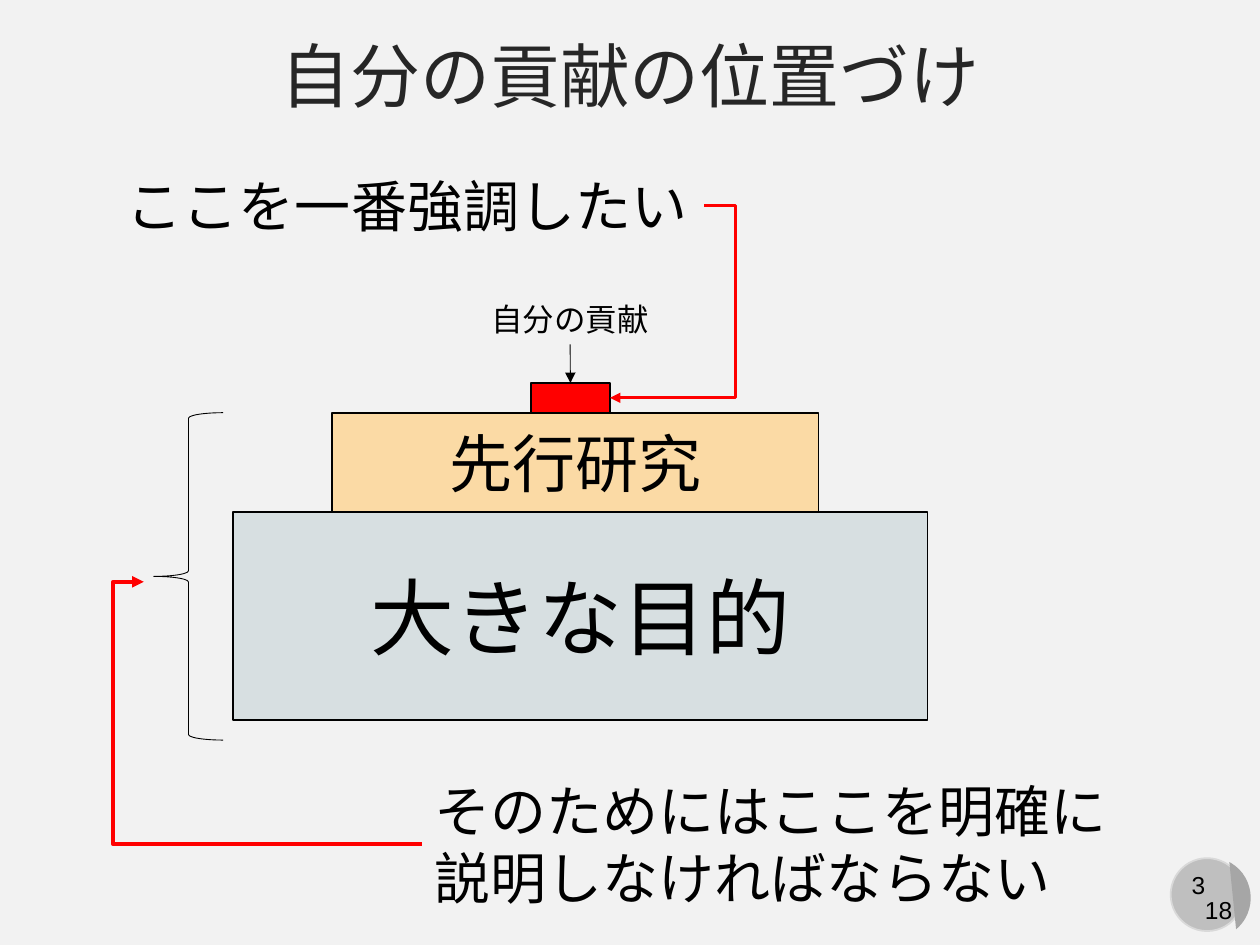
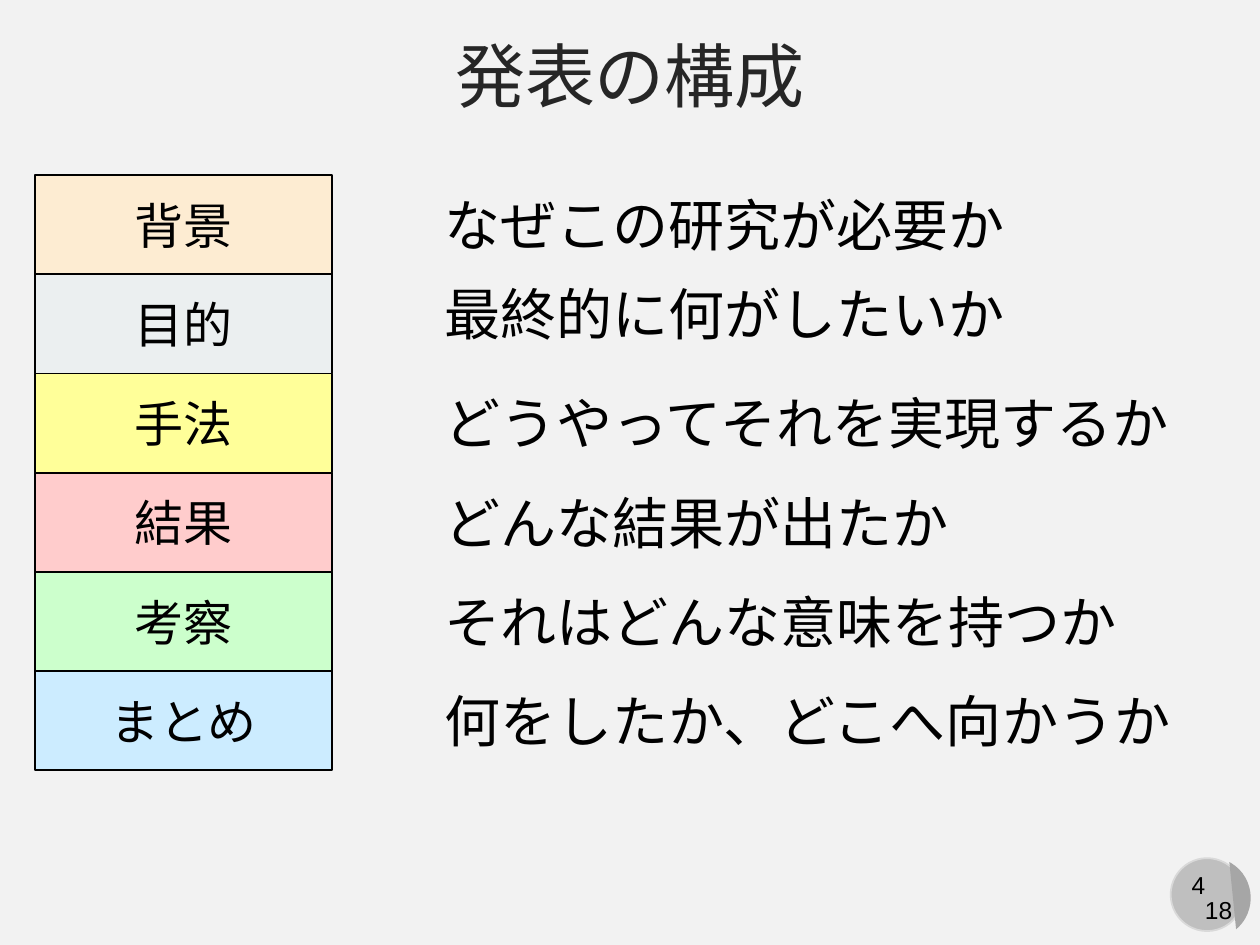
from dataclasses import dataclass
from typing import Optional

from lxml.etree import SubElement
from pptx import Presentation
from pptx.dml.color import RGBColor
from pptx.enum.shapes import MSO_CONNECTOR, MSO_SHAPE
from pptx.enum.text import MSO_ANCHOR, PP_ALIGN
from pptx.oxml.ns import qn
from pptx.util import Cm, Inches, Pt

# The grid has square cells of one centimetre: 25.4 columns by 19.05 rows.
CELL = Cm(1)
COLUMNS = 25.4
EM = 0.0353  # cells per point of text size
INSETS = 0.51  # left and right inset of a text box together
FONT = "Arial"
TOTAL_PAGES = "18"
BODY_SIZE = 32
LINE_HEIGHT = 1.63

COLORS = {
    "ground": "F2F2F2",
    "title": "262626",
    "ink": "000000",
    "accent": "FF0000",
    "badge": "BFBFBF",
    "badge_rim": "D9D9D9",
    "badge_shade": "A6A6A6",
    "purpose": "D7DFE1",
    "prior_work": "FBDAA5",
    "background_row": "FDECD2",
    "purpose_row": "EBEFF0",
    "method_row": "FFFF99",
    "result_row": "FFCCCC",
    "discussion_row": "CCFFCC",
    "summary_row": "CCECFF",
}


@dataclass(frozen=True)
class Area:
    """A place on the grid, in columns and rows."""
    col: float
    row: float
    cols: float
    rows: float

    def emu(self) -> list[int]:
        return [int(n * CELL) for n in (self.col, self.row, self.cols, self.rows)]


@dataclass(frozen=True)
class Block:
    area: Area
    fill: Optional[str]
    text: str = ""
    size: float = 28
    outline: Optional[str] = "ink"
    outline_width: float = 1
    kind: MSO_SHAPE = MSO_SHAPE.RECTANGLE
    adjustments: tuple[float, ...] = ()
    rotation: float = 0


@dataclass(frozen=True)
class Arrow:
    start: tuple[float, float]
    end: tuple[float, float]
    color: str
    width: float
    bend: Optional[float] = None


@dataclass(frozen=True)
class Section:
    name: str
    question: str
    fill: str
    lift: float = 0


STACK = {
    "purpose": Block(Area(4.7, 10.32, 14, 4.2), "purpose", "大きな目的", 48),
    "prior_work": Block(Area(6.7, 8.32, 9.8, 2), "prior_work", "先行研究", 36),
    "contribution": Block(Area(10.7, 7.72, 1.6, 0.6), "accent"),
    "brace": Block(Area(3.1, 8.32, 1.4, 6.6), None, outline_width=0.5,
                   kind=MSO_SHAPE.LEFT_BRACE, adjustments=(0.08, 0.5)),
}
POINTER = Arrow((11.5, 6.94), (11.5, 7.72), "ink", 0.5)
CALLOUTS = (
    Arrow((14.2, 4.14), (12.3, 8.02), "accent", 1.5, bend=-0.33),
    Arrow((8.5, 17.02), (2.9, 11.73), "accent", 2.25, bend=1.11),
)
SECTIONS = (
    Section("背景", "なぜこの研究が必要か", "background_row"),
    Section("目的", "最終的に何がしたいか", "purpose_row", lift=0.2),
    Section("手法", "どうやってそれを実現するか", "method_row"),
    Section("結果", "どんな結果が出たか", "result_row"),
    Section("考察", "それはどんな意味を持つか", "discussion_row"),
    Section("まとめ", "何をしたか、どこへ向かうか", "summary_row"),
)
SECTION_TOP, SECTION_ROWS = 3.53, 2
BADGE = (
    Block(Area(23.6, 17.3, 1.47, 1.47), "badge", outline="badge_rim",
          kind=MSO_SHAPE.OVAL),
    Block(Area(23.6, 17.3, 1.63, 1.6), "badge_shade", outline=None,
          kind=MSO_SHAPE.CHORD, adjustments=(16.2, 84.85), rotation=270),
)


def rgb(name: str) -> RGBColor:
    return RGBColor.from_string(COLORS[name])


def write(frame, text: str, *, size: float, color: str = "ink",
          align: PP_ALIGN = PP_ALIGN.LEFT, anchor: MSO_ANCHOR = MSO_ANCHOR.TOP,
          wrap: bool = True) -> None:
    frame.word_wrap = wrap
    frame.vertical_anchor = anchor
    paragraph = frame.paragraphs[0]
    paragraph.alignment = align
    run = paragraph.add_run()
    run.text = text
    run.font.name = FONT
    run.font.size = Pt(size)
    run.font.color.rgb = rgb(color)
    SubElement(run.font._element, qn("a:ea"), typeface=FONT)


def add_text(slide, area: Area, text: str, **text_format):
    box = slide.shapes.add_textbox(*area.emu())
    write(box.text_frame, text, **text_format)
    return box


def add_line_of_text(slide, col: float, row: float, text: str,
                     size: float = BODY_SIZE, rows: float = LINE_HEIGHT):
    """Place unwrapped full-width characters in a box as wide as they are."""
    area = Area(col, row, len(text) * size * EM + INSETS, rows)
    return add_text(slide, area, text, size=size, wrap=False)


def add_block(slide, block: Block):
    shape = slide.shapes.add_shape(block.kind, *block.area.emu())
    shape.shadow.inherit = False
    shape.rotation = block.rotation
    for index, value in enumerate(block.adjustments):
        shape.adjustments[index] = value
    if block.fill:
        shape.fill.solid()
        shape.fill.fore_color.rgb = rgb(block.fill)
    else:
        shape.fill.background()
    if block.outline:
        shape.line.color.rgb = rgb(block.outline)
        shape.line.width = Pt(block.outline_width)
    else:
        shape.line.fill.background()
    if block.text:
        write(shape.text_frame, block.text, size=block.size,
              align=PP_ALIGN.CENTER, anchor=MSO_ANCHOR.MIDDLE)
    return shape


def add_arrow(slide, arrow: Arrow):
    """Draw a straight arrow, or an elbow one if it has a bend."""
    kind = MSO_CONNECTOR.STRAIGHT if arrow.bend is None else MSO_CONNECTOR.ELBOW
    ends = [int(n * CELL) for n in (*arrow.start, *arrow.end)]
    connector = slide.shapes.add_connector(kind, *ends)
    connector.line.color.rgb = rgb(arrow.color)
    connector.line.width = Pt(arrow.width)
    properties = connector._element.spPr
    SubElement(properties.find(qn("a:ln")), qn("a:tailEnd"), type="triangle")
    SubElement(properties, qn("a:effectLst"))
    if arrow.bend is not None:
        geometry = properties.find(qn("a:prstGeom"))
        guides = geometry.find(qn("a:avLst"))
        if guides is None:
            guides = SubElement(geometry, qn("a:avLst"))
        SubElement(guides, qn("a:gd"), name="adj1",
                   fmla=f"val {round(arrow.bend * 100000)}")
    return connector


def add_page(deck, title: str, number: int):
    """Add a slide with the shared title and page badge."""
    slide = deck.slides.add_slide(deck.slide_layouts[6])
    disc, shade = BADGE
    add_block(slide, disc)
    add_text(slide, Area(23.6, 17.42, 1.12, 0.86), str(number), size=14,
             align=PP_ALIGN.CENTER, wrap=False)
    add_block(slide, shade)
    add_text(slide, Area(23.88, 17.91, 1.37, 0.86), TOTAL_PAGES, size=14,
             align=PP_ALIGN.CENTER)
    add_text(slide, Area(0, 0.53, COLUMNS, 2.08), title, size=40,
             color="title", align=PP_ALIGN.CENTER)
    return slide


def build_contribution_page(deck) -> None:
    slide = add_page(deck, "自分の貢献の位置づけ", 3)
    stack = {name: add_block(slide, block) for name, block in STACK.items()}
    contribution_label = add_line_of_text(slide, 9.65, 5.92, "自分の貢献",
                                          size=18, rows=1.02)
    pointer = add_arrow(slide, POINTER)
    pointer.begin_connect(contribution_label, 2)
    pointer.end_connect(stack["contribution"], 0)
    add_line_of_text(slide, 2.31, 3.33, "ここを一番強調したい")
    add_text(slide, Area(8.51, 15.52, 14.6, 3),
             "そのためにはここを明確に説明しなければならない", size=BODY_SIZE)
    for callout in CALLOUTS:
        add_arrow(slide, callout)


def build_structure_page(deck) -> None:
    slide = add_page(deck, "発表の構成", 4)
    for index, section in enumerate(SECTIONS):
        top = SECTION_TOP + index * SECTION_ROWS
        add_block(slide, Block(Area(0.7, top, 6, SECTION_ROWS), section.fill,
                               section.name))
        centred = top + (SECTION_ROWS - LINE_HEIGHT) / 2
        add_line_of_text(slide, 8.71, centred - section.lift, section.question)


def main() -> None:
    deck = Presentation()
    deck.slide_width, deck.slide_height = Inches(10), Inches(7.5)
    ground = deck.slide_master.background.fill
    ground.solid()
    ground.fore_color.rgb = rgb("ground")
    build_contribution_page(deck)
    build_structure_page(deck)
    deck.save("out.pptx")


if __name__ == "__main__":
    main()
